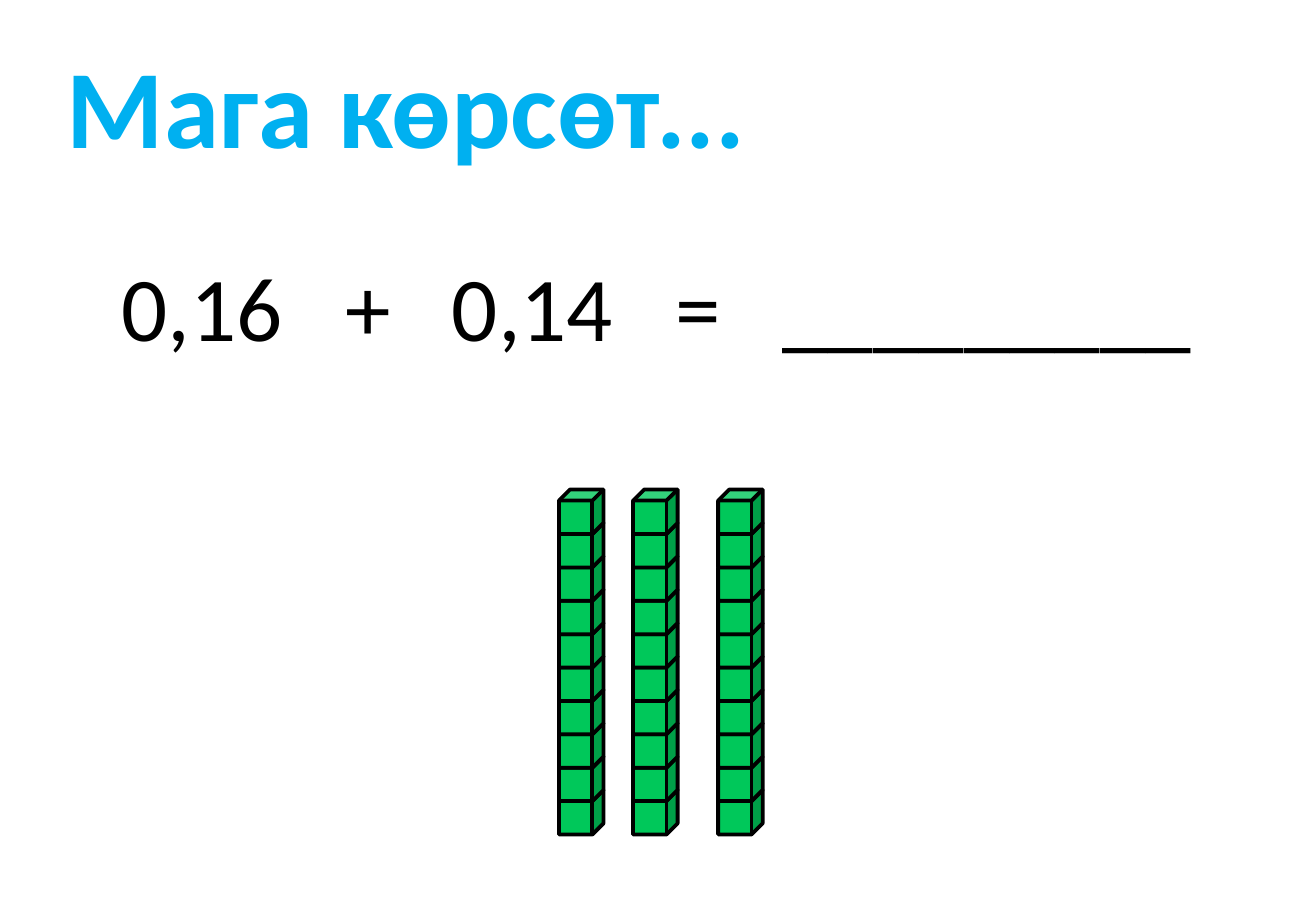
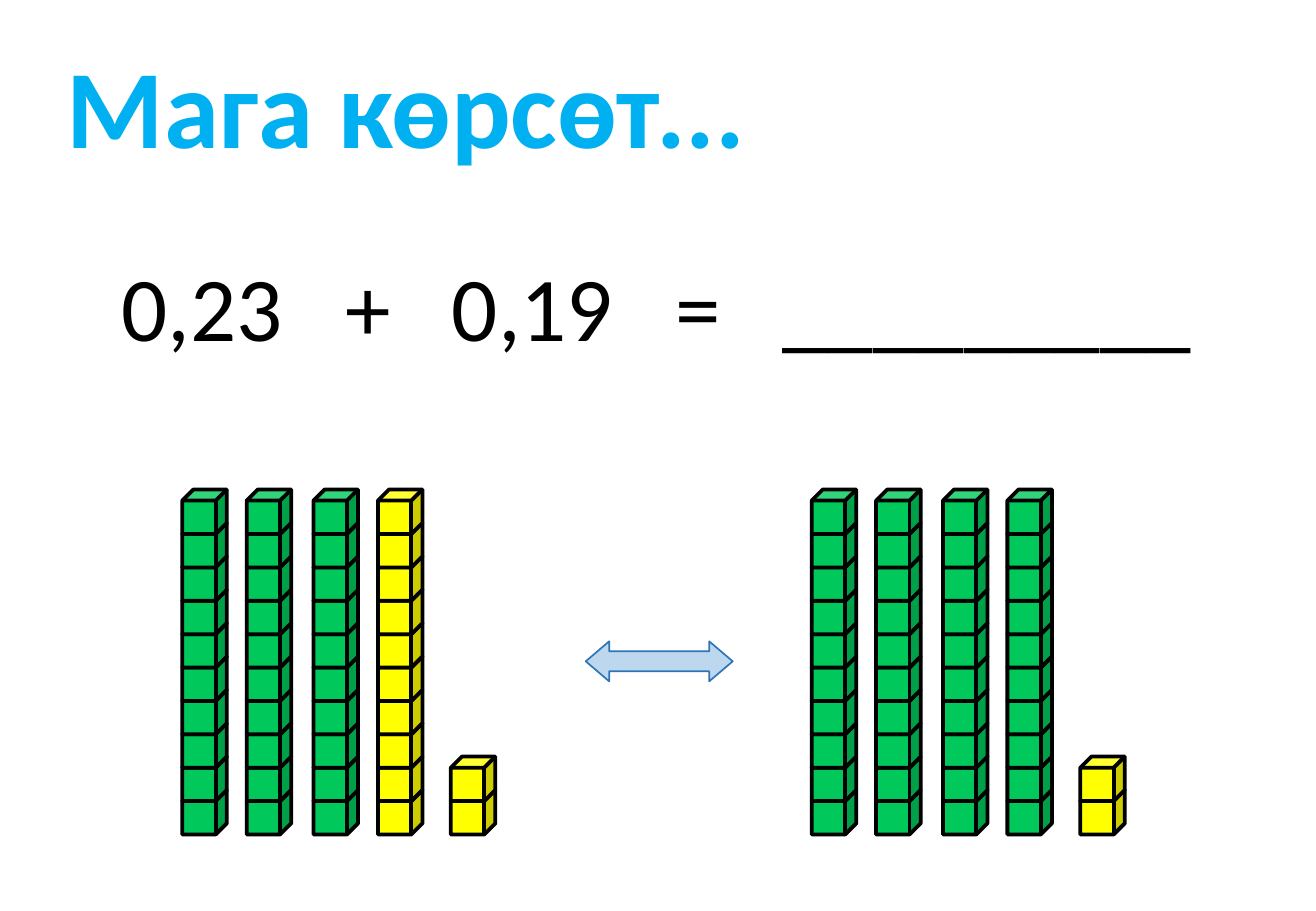
from lxml import etree
from pptx import Presentation
from pptx.dml.color import RGBColor
from pptx.enum.shapes import MSO_SHAPE
from pptx.enum.text import MSO_ANCHOR, PP_ALIGN
from pptx.oxml.ns import qn
from pptx.util import Inches, Pt

CUBE, ARROW = MSO_SHAPE.CUBE, MSO_SHAPE.LEFT_RIGHT_ARROW
TOP, LEFT = MSO_ANCHOR.TOP, PP_ALIGN.LEFT

SKY = RGBColor(0x00, 0xB0, 0xF0)
BLACK = RGBColor(0x00, 0x00, 0x00)
GREEN = RGBColor(0x00, 0xC8, 0x5A)
YELLOW = RGBColor(0xFF, 0xFF, 0x00)
PALE = RGBColor(0xBD, 0xD7, 0xEE)
BLUE = RGBColor(0x2E, 0x75, 0xB6)
FONT = "Calibri"

TITLE = "Мага көрсөт..."
BLANK = "_" * 9
TABS = (1.84, 2.72, 4.56, 5.44)

FLOOR = 6.87                # bottom of every stack
SIDE = 2.84 / 7.75          # ten cubes overlap to 7.75 sides
RISE = SIDE * 0.75          # a cube shows three quarters of its side
SHIFT = 5.18                # from the left set to the right set

# Each stack: left edge, number of cubes, colour
LOOSE = (3.71, 2, YELLOW)
GREENS = [(x, 10, GREEN) for x in (1.5, 2.03, 2.58)]
BEFORE = GREENS + [(3.11, 10, YELLOW), LOOSE]
AFTER = [(x + SHIFT, n, color)
         for x, n, color in GREENS + [(3.11, 10, GREEN), LOOSE]]

TASKS = [
    {"sum": ("0,16", "+", "0,14", "=", BLANK),
     "stacks": [(x, 10, GREEN) for x in (4.6, 5.21, 5.91)],
     "arrow": None},
    {"sum": ("0,23", "+", "0,19", "=", BLANK),
     "stacks": BEFORE + AFTER,
     "arrow": (4.82, 5.28, 1.21, 0.33)},
]


def place(shape, box):
    shape.left, shape.top, shape.width, shape.height = map(Inches, box)


def write(shape, text, inset, size, color, bold=False, tabs=()):
    frame = shape.text_frame
    frame.word_wrap = True
    frame.vertical_anchor = TOP
    frame.margin_left, frame.margin_right = Inches(inset), 0
    para = frame.paragraphs[0]
    para.text = text
    para.alignment = LEFT
    if tabs:
        stops = etree.SubElement(para._p.get_or_add_pPr(), qn("a:tabLst"))
        for pos in tabs:
            etree.SubElement(stops, qn("a:tab"), pos=str(Inches(pos)), algn="l")
    font = para.font
    font.name, font.size, font.bold = FONT, Pt(size), bold
    font.color.rgb = color


def draw(shapes, kind, box, fill, line, width):
    shape = shapes.add_shape(kind, *map(Inches, box))
    shape.shadow.inherit = False
    shape.fill.solid()
    shape.fill.fore_color.rgb = fill
    shape.line.color.rgb = line
    shape.line.width = Pt(width)
    return shape


def stack(slide, x, count, color):
    """Pile cubes from the floor up, as one group."""
    group = slide.shapes.add_group_shape()
    for i in range(count):
        y = FLOOR - SIDE - i * RISE
        draw(group.shapes, CUBE, (x, y, SIDE, SIDE), color, BLACK, 2.25)


def build(deck, task):
    slide = deck.slides.add_slide(deck.slide_layouts[5])
    title = slide.shapes.title
    place(title, (0.24, 0.26, 7.54, 1.21))
    write(title, TITLE, 0.31, 66, SKY, bold=True)
    box = slide.shapes.add_textbox(*map(Inches, (0.87, 2.01, 9.1, 1.01)))
    write(box, "\t".join(task["sum"]), 0.13, 54, BLACK, tabs=TABS)
    for x, count, color in task["stacks"]:
        stack(slide, x, count, color)
    if task["arrow"]:
        arrow = draw(slide.shapes, ARROW, task["arrow"], PALE, BLUE, 1)
        arrow.adjustments[1] = 0.586


def main():
    deck = Presentation()
    deck.slide_width, deck.slide_height = Inches(10.83), Inches(7.5)
    for task in TASKS:
        build(deck, task)
    deck.save("out.pptx")


if __name__ == "__main__":
    main()
